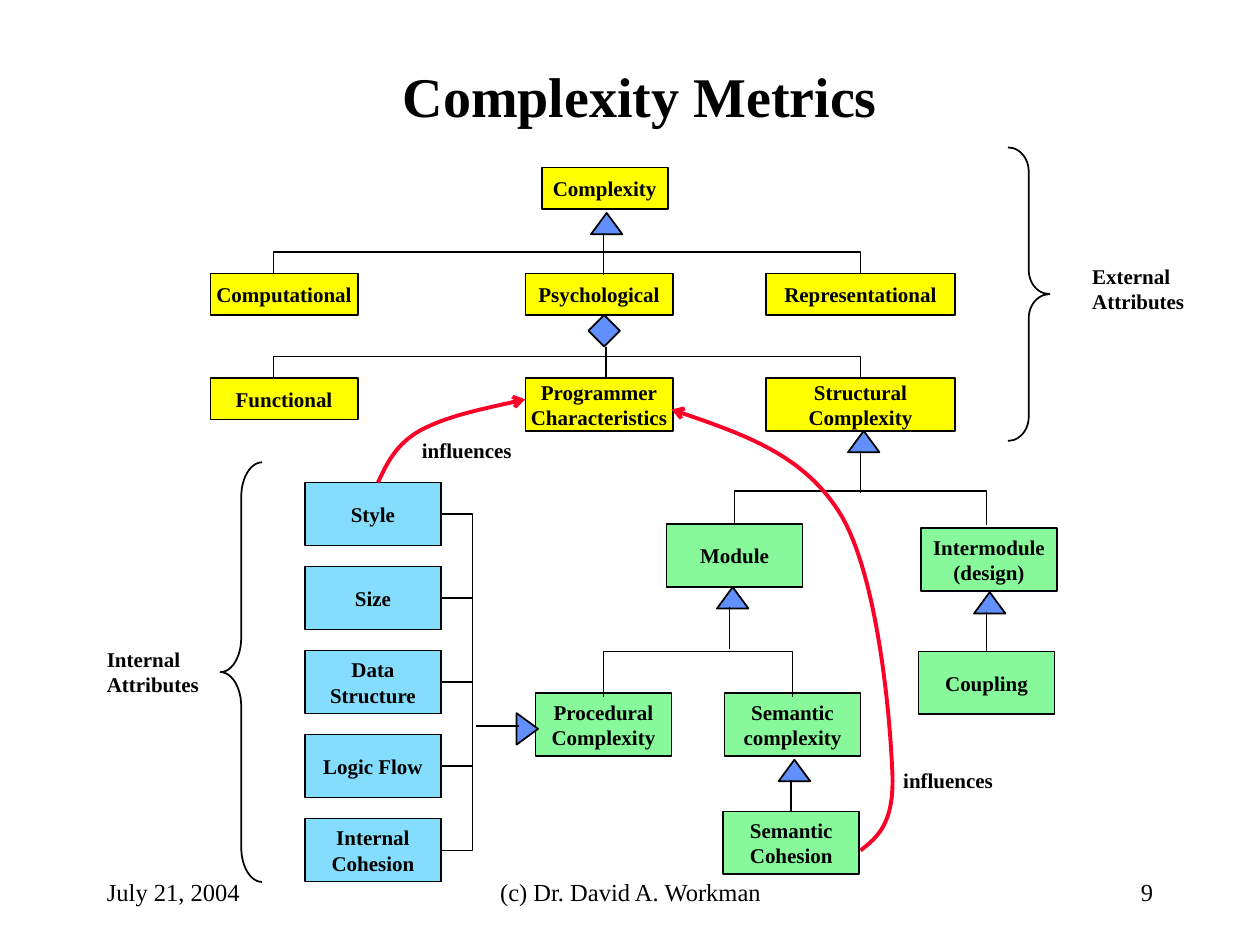
"""Build the Complexity Metrics slide as a class diagram."""
import dataclasses

import lxml.etree
import pptx
import pptx.dml.color
import pptx.enum.shapes
import pptx.enum.text
import pptx.oxml.ns
import pptx.util

Inches = pptx.util.Inches
Pt = pptx.util.Pt
Kind = pptx.enum.shapes.MSO_SHAPE
Align = pptx.enum.text.PP_ALIGN
Anchor = pptx.enum.text.MSO_ANCHOR
qn = pptx.oxml.ns.qn


@dataclasses.dataclass(frozen=True)
class Theme:
    font: str = "Times New Roman"
    ink: str = "000000"
    yellow: str = "FFFF00"
    green: str = "87F99A"
    sky: str = "84DDFC"
    blue: str = "618FFD"
    red: str = "FC0128"
    head: float = 32
    body: float = 12
    foot: float = 14
    thin: float = 1
    thick: float = 2.25


def tint(code):
    return pptx.dml.color.RGBColor.from_string(code)


class Chart:
    def __init__(self, slide, theme):
        self.slide = slide
        self.shapes = slide.shapes
        self.theme = theme

    def text(self, frame, lines, size, bold=True, align=Align.CENTER, anchor=Anchor.MIDDLE, wrap=False):
        frame.word_wrap = wrap
        frame.auto_size = pptx.enum.text.MSO_AUTO_SIZE.NONE
        frame.vertical_anchor = anchor
        for i, line in enumerate(lines):
            para = frame.add_paragraph() if i else frame.paragraphs[0]
            para.alignment = align
            run = para.add_run()
            run.text = line
            run.font.name = self.theme.font
            run.font.size = Pt(size)
            run.font.bold = bold
            run.font.color.rgb = tint(self.theme.ink)

    def title(self, text, left, top, width, height):
        shape = self.shapes.title
        shape.left, shape.top = Inches(left), Inches(top)
        shape.width, shape.height = Inches(width), Inches(height)
        self.text(shape.text_frame, [text], self.theme.head, wrap=True)

    def style(self, shape, fill=None, line=None, width=None):
        shape.shadow.inherit = False
        if fill:
            shape.fill.solid()
            shape.fill.fore_color.rgb = tint(fill)
        else:
            shape.fill.background()
        shape.line.color.rgb = tint(line or self.theme.ink)
        shape.line.width = Pt(width or self.theme.thin)

    def shape(self, kind, left, top, width, height, fill=None):
        shape = self.shapes.add_shape(kind, Inches(left), Inches(top), Inches(width), Inches(height))
        self.style(shape, fill)
        return shape

    def box(self, lines, left, top, width, height, fill):
        shape = self.shape(Kind.RECTANGLE, left, top, width, height, fill)
        self.text(shape.text_frame, lines, self.theme.body)
        return shape

    def label(self, lines, left, top, width, height):
        box = self.shapes.add_textbox(Inches(left), Inches(top), Inches(width), Inches(height))
        self.text(box.text_frame, lines, self.theme.body, align=Align.LEFT, anchor=Anchor.TOP)

    def footer(self, text, left, width, align):
        box = self.shapes.add_textbox(Inches(left), Inches(6.83), Inches(width), Inches(0.5))
        self.text(box.text_frame, [text], self.theme.foot, False, align, wrap=True)

    def line(self, start, end):
        straight = pptx.enum.shapes.MSO_CONNECTOR.STRAIGHT
        line = self.shapes.add_connector(straight, *map(Inches, start + end))
        line.line.color.rgb = tint(self.theme.ink)
        line.line.width = Pt(self.theme.thin)
        lxml.etree.SubElement(line._element.spPr, qn("a:effectLst"))
        return line

    def stem(self, x, top):
        self.shape(Kind.ISOSCELES_TRIANGLE, x - 0.1, top, 0.25, 0.17, self.theme.blue)
        return self.line((x, top + 0.16), (x, top + 0.49))

    def trace(self, points):
        spots = [(Inches(x), Inches(y)) for x, y in points]
        pen = self.shapes.build_freeform(*spots[0])
        pen.add_line_segments(spots[1:], close=False)
        shape = pen.convert_to_shape()
        self.style(shape)
        return shape

    def fork(self, left, right, top, base):
        self.trace([(left, base), (left, top), (right, top), (right, base)])

    def curve(self, points, end):
        shape = self.trace(points)
        self.style(shape, line=self.theme.red, width=self.theme.thick)
        steps = list(shape._element.iter(qn("a:lnTo")))
        for i in range(0, len(steps), 3):
            bend = lxml.etree.Element(qn("a:cubicBezTo"))
            steps[i].addprevious(bend)
            for step in steps[i:i + 3]:
                bend.append(step[0])
                step.getparent().remove(step)
        outline = shape._element.spPr.find(qn("a:ln"))
        lxml.etree.SubElement(outline, qn(end), type="arrow")

    def brace(self, kind, left, top, height, bend):
        shape = self.shape(kind, left, top, 0.33, height)
        shape.adjustments[0] = bend


def main():
    deck = pptx.Presentation()
    deck.slide_width, deck.slide_height = Inches(10), Inches(7.5)
    theme = Theme()
    chart = Chart(deck.slides.add_slide(deck.slide_layouts[5]), theme)
    chart.title("Complexity Metrics", 0.83, 0.42, 8.5, 0.67)

    for lines, left, top, width, height in (
        (["Complexity"], 4.3, 1.33, 1, 0.33),
        (["Computational"], 1.67, 2.17, 1.17, 0.33),
        (["Psychological"], 4.17, 2.17, 1.17, 0.33),
        (["Representational"], 6.08, 2.17, 1.5, 0.33),
        (["Functional"], 1.67, 3, 1.17, 0.33),
        (["Programmer", "Characteristics"], 4.17, 3, 1.17, 0.42),
        (["Structural", "Complexity"], 6.08, 3, 1.5, 0.42),
    ):
        chart.box(lines, left, top, width, height, theme.yellow)
    for top in (2, 2.83):
        chart.fork(2.17, 6.83, top, top + 0.17)
    chart.shape(Kind.DIAMOND, 4.67, 2.5, 0.25, 0.25, theme.blue)
    chart.line((4.81, 2.75), (4.81, 3))

    green = {}
    for lines, left, top in (
        (["Module"], 5.29, 4.16),
        (["Intermodule", "(design)"], 7.31, 4.19),
        (["Coupling"], 7.29, 5.17),
        (["Procedural", "Complexity"], 4.25, 5.5),
        (["Semantic", "complexity"], 5.75, 5.5),
        (["Semantic", "Cohesion"], 5.74, 6.44),
    ):
        green[lines[-1]] = chart.box(lines, left, top, 1.08, 0.5, theme.green)
    chart.fork(5.83, 7.83, 3.9, 4.17)
    chart.fork(4.79, 6.29, 5.17, 5.53)
    for x, top in ((4.79, 1.69), (6.83, 3.42), (5.79, 4.66)):
        chart.stem(x, top)
    chart.stem(7.83, 4.7).end_connect(green["Coupling"], 0)
    chart.stem(6.28, 6.03).end_connect(green["Cohesion"], 0)

    parts = (["Style"], ["Size"], ["Data", "Structure"], ["Logic Flow"], ["Internal", "Cohesion"])
    stack = [chart.box(lines, 2.42, 3.83 + i * 2 / 3, 1.08, 0.5, theme.sky)
             for i, lines in enumerate(parts)]
    chart.trace([(3.5, 4.08), (3.75, 4.08), (3.75, 6.75), (3.5, 6.75)])
    for i, box in enumerate(stack[1:-1], 1):
        y = 4.08 + i * 2 / 3
        chart.line((3.5, y), (3.75, y)).begin_connect(box, 3)
    head = chart.shape(Kind.ISOSCELES_TRIANGLE, 4.06, 5.7, 0.25, 0.17, theme.blue)
    head.rotation = 90
    chart.line((4.12, 5.76), (3.78, 5.76))

    chart.curve([(5.33, 3.25), (5.85, 3.43), (6.38, 3.61), (6.67, 4.08), (6.96, 4.56),
                 (7.06, 5.64), (7.08, 6.08), (7.11, 6.53), (6.97, 6.64), (6.83, 6.75)], "a:headEnd")
    chart.curve([(3, 3.83), (3.07, 3.68), (3.14, 3.53), (3.33, 3.42),
                 (3.53, 3.31), (3.85, 3.24), (4.17, 3.17)], "a:tailEnd")
    for left, top in ((7.07, 6.04), (3.25, 3.42)):
        chart.label(["influences"], left, top, 0.91, 0.3)

    chart.brace(Kind.RIGHT_BRACE, 8, 1.17, 2.33, 0.58)
    chart.brace(Kind.LEFT_BRACE, 1.75, 3.67, 3.33, 0.83)
    chart.label(["External", "Attributes"], 8.57, 2.04, 0.93, 0.5)
    chart.label(["Internal", "Attributes"], 0.75, 5.08, 0.93, 0.5)

    chart.footer("July 21, 2004", 0.75, 2.08, Align.LEFT)
    chart.footer("(c) Dr. David A. Workman", 3.42, 3.17, Align.CENTER)
    chart.footer("9", 7.17, 2.08, Align.RIGHT)
    deck.save("out.pptx")


if __name__ == "__main__":
    main()
